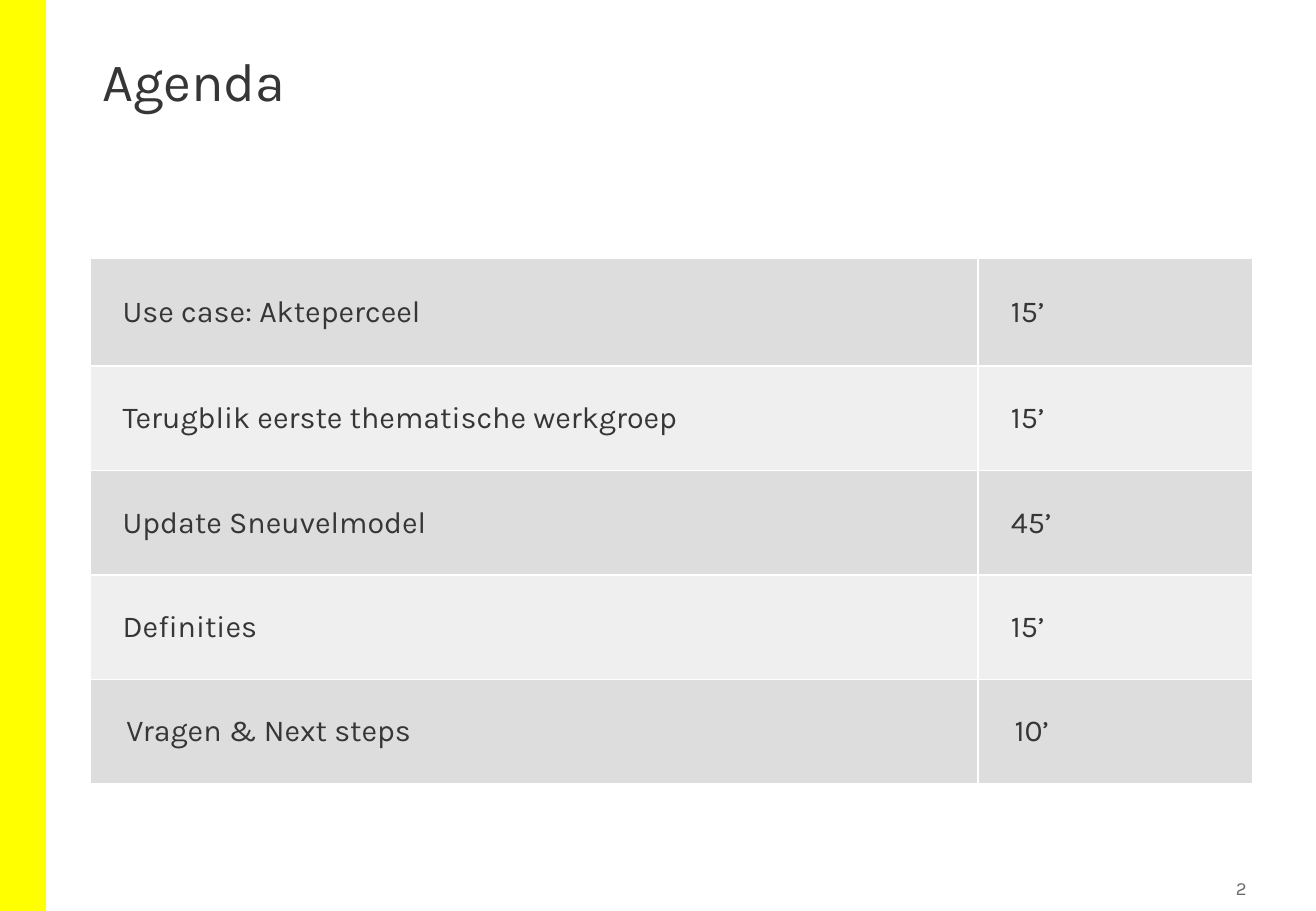
from pptx import Presentation
from pptx.dml.color import RGBColor
from pptx.enum.shapes import MSO_SHAPE
from pptx.enum.text import MSO_ANCHOR, PP_ALIGN
from pptx.oxml import parse_xml
from pptx.oxml.ns import nsdecls
from pptx.util import Inches, Pt

RECTANGLE = MSO_SHAPE.RECTANGLE
TOP, MIDDLE = MSO_ANCHOR.TOP, MSO_ANCHOR.MIDDLE
LEFT, RIGHT = PP_ALIGN.LEFT, PP_ALIGN.RIGHT
TITLE_ONLY = 5

AGENDA = [
    ("Use case: Akteperceel", "15’"),
    ("Terugblik eerste thematische werkgroep", "15’"),
    ("Update Sneuvelmodel", "45’"),
    ("Definities", "15’"),
    ("Vragen & Next steps", "10’"),
]


def color(value):
    return RGBColor.from_string(value)


class AgendaSlide:
    """Builds one slide in the house style, with lengths in percent of its size."""

    font = "Karla"
    ink, muted, accent = "373636", "6B6B6B", "FFFF00"
    bands = ("DDDDDD", "EFEFEF")
    rule = "FFFFFF"

    def __init__(self, presentation):
        self.width = presentation.slide_width
        self.height = presentation.slide_height
        self.slide = presentation.slides.add_slide(presentation.slide_layouts[TITLE_ONLY])

    def across(self, share):
        return round(self.width * share / 100)

    def down(self, share):
        return round(self.height * share / 100)

    def box(self, left, top, width, height):
        return self.across(left), self.down(top), self.across(width), self.down(height)

    def set_text(self, frame, text, size, ink, align=LEFT):
        frame.text = text
        frame.word_wrap = True
        paragraph = frame.paragraphs[0]
        paragraph.alignment = align
        font = paragraph.runs[0].font
        font.name = self.font
        font.size = Pt(size)
        font.color.rgb = color(ink)
        return paragraph

    def side_bar(self, width):
        bar = self.slide.shapes.add_shape(RECTANGLE, *self.box(0, 0, width, 100))
        bar.shadow.inherit = False
        bar.fill.solid()
        bar.fill.fore_color.rgb = color(self.accent)
        bar.line.fill.background()

    def title(self, text, *place):
        heading = self.slide.shapes.title
        heading.left, heading.top, heading.width, heading.height = self.box(*place)
        heading.text_frame.vertical_anchor = TOP
        self.set_text(heading.text_frame, text, 32, self.ink).line_spacing = 0.9

    def page_number(self, text, *place):
        frame = self.slide.shapes.add_textbox(*self.box(*place)).text_frame
        frame.margin_left = frame.margin_right = Inches(0.05)
        frame.margin_top = frame.margin_bottom = Inches(0.05)
        frame.vertical_anchor = MIDDLE
        self.set_text(frame, text, 11, self.muted, RIGHT)

    def border(self, cell):
        properties = cell._tc.get_or_add_tcPr()
        for side in "LRTB":
            properties.append(parse_xml(
                f'<a:ln{side} {nsdecls("a")} w="{Pt(1)}"><a:solidFill>'
                f'<a:srgbClr val="{self.rule}"/></a:solidFill></a:ln{side}>'))

    def table(self, entries, left, top, column_shares, row_shares):
        place = self.box(left, top, sum(column_shares), sum(row_shares))
        agenda = self.slide.shapes.add_table(len(entries), len(column_shares), *place).table
        agenda.first_row = agenda.horz_banding = False
        for column, share in zip(agenda.columns, column_shares):
            column.width = self.across(share)
        for index, (row, share, entry) in enumerate(zip(agenda.rows, row_shares, entries)):
            row.height = self.down(share)
            indent = 0.3 if index == len(entries) - 1 else 0.27
            for cell, text in zip(row.cells, entry):
                self.border(cell)
                cell.fill.solid()
                cell.fill.fore_color.rgb = color(self.bands[index % 2])
                cell.vertical_anchor = MIDDLE
                cell.margin_left = Inches(indent)
                self.set_text(cell.text_frame, text, 18, self.ink)


def main():
    presentation = Presentation()
    presentation.slide_width = Inches(10.83)
    presentation.slide_height = Inches(7.5)
    slide = AgendaSlide(presentation)
    slide.side_bar(3.5)
    slide.title("Agenda", 6.83, 5.33, 86.24, 14.4)
    slide.page_number("2", 87.72, 95.6, 7.48, 3.87)
    slide.table(AGENDA, 6.83, 28.4, (67.5, 20.87), [11.8] + [11.47] * 4)
    presentation.save("out.pptx")


if __name__ == "__main__":
    main()
